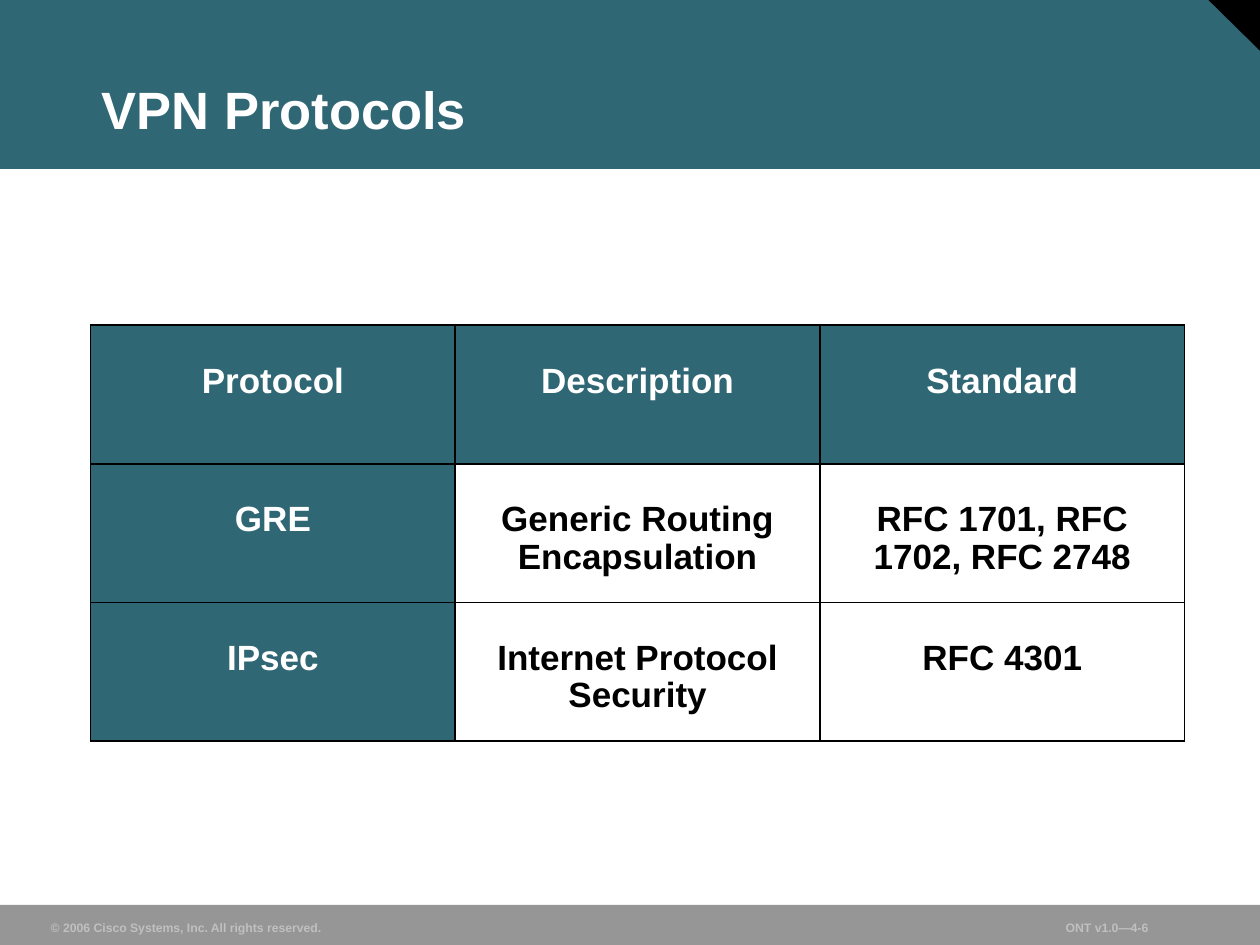
import pptx
import pptx.dml.color
import pptx.enum.shapes
import pptx.enum.text
import pptx.oxml
import pptx.oxml.ns
import pptx.util

Pt = pptx.util.Pt
SHAPE = pptx.enum.shapes.MSO_SHAPE
ALIGN = pptx.enum.text.PP_ALIGN
ANCHOR = pptx.enum.text.MSO_ANCHOR
FIT = pptx.enum.text.MSO_AUTO_SIZE

ROWS = [
    ["Protocol", "Description", "Standard"],
    ["GRE", "Generic Routing Encapsulation", "RFC 1701, RFC 1702, RFC 2748"],
    ["IPsec", "Internet Protocol Security", "RFC 4301"],
]


def rgb(value):
    return pptx.dml.color.RGBColor.from_string(value)


def write(tf, text, size, color, align=ALIGN.LEFT, spacing=1.0):
    p = tf.paragraphs[0]
    p.alignment = align
    p.line_spacing = spacing
    p.space_before = Pt(0)
    r = p.add_run()
    r.text = text
    r.font.name = "Arial"
    r.font.size = Pt(size)
    r.font.bold = True
    r.font.color.rgb = rgb(color)


def set_margins(obj, left, top, right, bottom):
    obj.margin_left, obj.margin_top = Pt(left), Pt(top)
    obj.margin_right, obj.margin_bottom = Pt(right), Pt(bottom)


def add_borders(cell, color, width):
    tc_pr = cell._tc.get_or_add_tcPr()
    for i, side in enumerate(("lnL", "lnR", "lnT", "lnB")):
        tc_pr.insert(i, pptx.oxml.parse_xml(
            f'<a:{side} {pptx.oxml.ns.nsdecls("a")} w="{Pt(width)}">'
            f'<a:solidFill><a:srgbClr val="{color}"/></a:solidFill></a:{side}>'))


class Deck:
    TEAL, WHITE, BLACK = "306774", "FFFFFF", "000000"
    GRAY, SILVER = "969696", "C0C0C0"

    def __init__(self, prs):
        self.s = prs.slides.add_slide(prs.slide_layouts[5])

    def shape(self, kind, box, fill, rotation=0):
        sp = self.s.shapes.add_shape(kind, *map(Pt, box))
        sp.shadow.inherit = False
        sp.fill.solid()
        sp.fill.fore_color.rgb = rgb(fill)
        sp.line.fill.background()
        sp.rotation = rotation

    def footer(self, box, text):
        tf = self.s.shapes.add_textbox(*map(Pt, box)).text_frame
        tf.word_wrap = False
        tf.auto_size = FIT.SHAPE_TO_FIT_TEXT
        tf.vertical_anchor = ANCHOR.BOTTOM
        set_margins(tf, 6.5, 3.2, 6.5, 3.2)
        write(tf, text, 7, self.SILVER)

    def title(self, box, text):
        """Fill the title placeholder and bring it in front of the band."""
        sp = self.s.shapes.title
        sp.left, sp.top, sp.width, sp.height = map(Pt, box)
        sp.element.getparent().append(sp.element)
        tf = sp.text_frame
        tf.auto_size = FIT.NONE
        tf.word_wrap = True
        tf.vertical_anchor = ANCHOR.BOTTOM
        set_margins(tf, 6.5, 3.2, 6.5, 3.2)
        write(tf, text, 30, self.WHITE, spacing=0.9)

    def table(self, box, rows):
        """Table whose first row and first column are headings."""
        table = self.s.shapes.add_table(
            len(rows), len(rows[0]), *map(Pt, box)).table
        for i, row in enumerate(rows):
            for j, text in enumerate(row):
                heading = i == 0 or j == 0
                cell = table.cell(i, j)
                cell.fill.solid()
                cell.fill.fore_color.rgb = rgb(
                    self.TEAL if heading else self.WHITE)
                cell.vertical_anchor = ANCHOR.TOP
                set_margins(cell, 6.5, 22, 6.5, 3.6)
                add_borders(cell, self.BLACK, 1.08)
                write(cell.text_frame, text, 20,
                      self.WHITE if heading else self.BLACK,
                      align=ALIGN.CENTER, spacing=0.95)


def main():
    prs = pptx.Presentation()
    prs.slide_width, prs.slide_height = Pt(720), Pt(540)
    deck = Deck(prs)
    deck.shape(SHAPE.RECTANGLE, (0, 0, 720, 96.5), deck.TEAL)
    deck.shape(SHAPE.RIGHT_TRIANGLE, (690, -0.5, 30, 29.5), deck.BLACK, 180)
    deck.shape(SHAPE.RECTANGLE, (0, 517, 720, 23), deck.GRAY)
    deck.footer((22.5, 522.5, 168, 15),
                "© 2006 Cisco Systems, Inc. All rights reserved.")
    deck.footer((602.5, 522.5, 90, 15), "ONT v1.0—4-6")
    deck.title((51.8, 18, 641.5, 66), "VPN Protocols")
    deck.table((51.8, 185.8, 625.2, 237.6), ROWS)
    prs.save("out.pptx")


if __name__ == "__main__":
    main()
